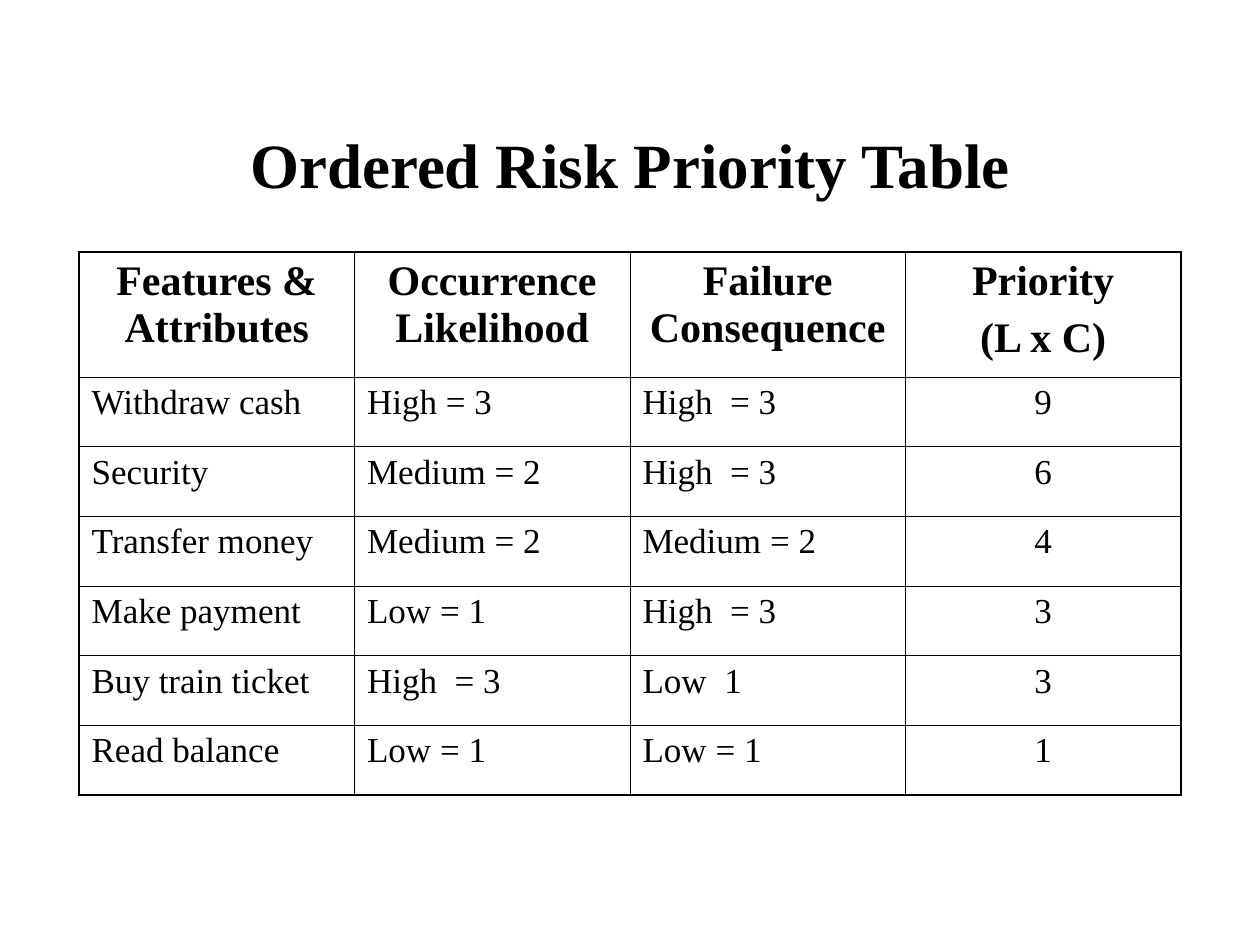
from pptx import Presentation
from pptx.dml.color import RGBColor
from pptx.enum.text import MSO_ANCHOR, PP_ALIGN
from pptx.oxml import parse_xml
from pptx.oxml.ns import nsdecls
from pptx.util import Pt

# Content
TITLE = "Ordered Risk Priority Table"
HEADS = ["Features & Attributes", "Occurrence Likelihood",
         "Failure Consequence", "Priority\n(L x C)"]
RISKS = [
    ("Withdraw cash", "High = 3", "High  = 3", "9"),
    ("Security", "Medium = 2", "High  = 3", "6"),
    ("Transfer money", "Medium = 2", "Medium = 2", "4"),
    ("Make payment", "Low = 1", "High  = 3", "3"),
    ("Buy train ticket", "High  = 3", "Low  1", "3"),
    ("Read balance", "Low = 1", "Low = 1", "1"),
]

# Theme
INK = "000000"
THEME = {
    "title": {"size": Pt(36), "bold": True},
    "head": {"size": Pt(24), "bold": True},
    "body": {"size": Pt(20), "bold": False},
    "font": "Times New Roman",
    "gap": Pt(6),
    "thick": Pt(1.08),
    "thin": Pt(0.45),
}

# Layout in px
SLIDE = (1260, 945)
TITLE_BOX = (95, 84, 1071, 158)
TABLE_BOX = (79, 252, 1102, 543)
HEAD_TALL = 125


def emu(px):
    return round(px * 914400 / 126)


def write(frame, text, kind, align):
    frame.text = text
    for i, para in enumerate(frame.paragraphs):
        para.alignment = align
        if i:
            para.space_before = THEME["gap"]
        for run in para.runs:
            font = run.font
            for key, val in {"name": THEME["font"], **THEME[kind]}.items():
                setattr(font, key, val)
            font.color.rgb = RGBColor.from_string(INK)


def rule(cell, outer):
    # Each side is thick on the outer frame and thin inside
    props = cell._tc.get_or_add_tcPr()
    for side, edge in outer.items():
        wide = THEME["thick" if edge else "thin"]
        props.append(parse_xml(
            f'<a:ln{side} {nsdecls("a")} w="{wide}"><a:solidFill>'
            f'<a:srgbClr val="{INK}"/></a:solidFill></a:ln{side}>'))


def main():
    deck = Presentation()
    deck.slide_width, deck.slide_height = map(emu, SLIDE)
    slide = deck.slides.add_slide(deck.slide_layouts[6])

    # Title
    frame = slide.shapes.add_textbox(*map(emu, TITLE_BOX)).text_frame
    frame.word_wrap = True
    frame.vertical_anchor = MSO_ANCHOR.MIDDLE
    write(frame, TITLE, "title", PP_ALIGN.CENTER)

    # Table grid
    rows = [HEADS, *RISKS]
    last, end = len(rows) - 1, len(HEADS) - 1
    table = slide.shapes.add_table(
        len(rows), len(HEADS), *map(emu, TABLE_BOX)).table
    table.first_row = table.horz_banding = False
    wide, tall = TABLE_BOX[2:]
    for col in table.columns:
        col.width = emu(wide / len(HEADS))
    for r, row in enumerate(table.rows):
        row.height = emu((tall - HEAD_TALL) / last if r else HEAD_TALL)

    # Table cells
    for r, row in enumerate(rows):
        for c, text in enumerate(row):
            cell = table.cell(r, c)
            mid = r == 0 or c == end
            write(cell.text_frame, text, "body" if r else "head",
                  PP_ALIGN.CENTER if mid else PP_ALIGN.LEFT)
            rule(cell, {"L": c == 0, "R": c == end,
                        "T": r == 0, "B": r == last})
            cell.fill.background()

    deck.save("out.pptx")


if __name__ == "__main__":
    main()
